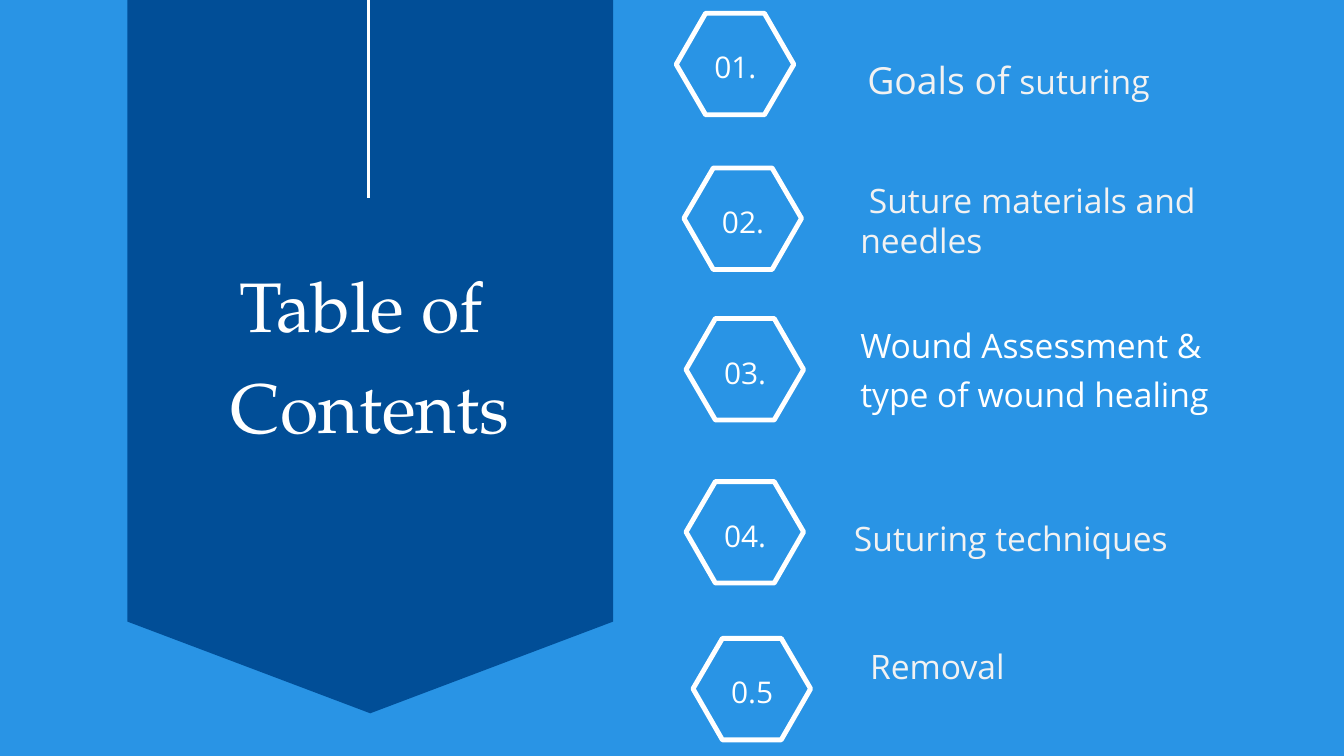
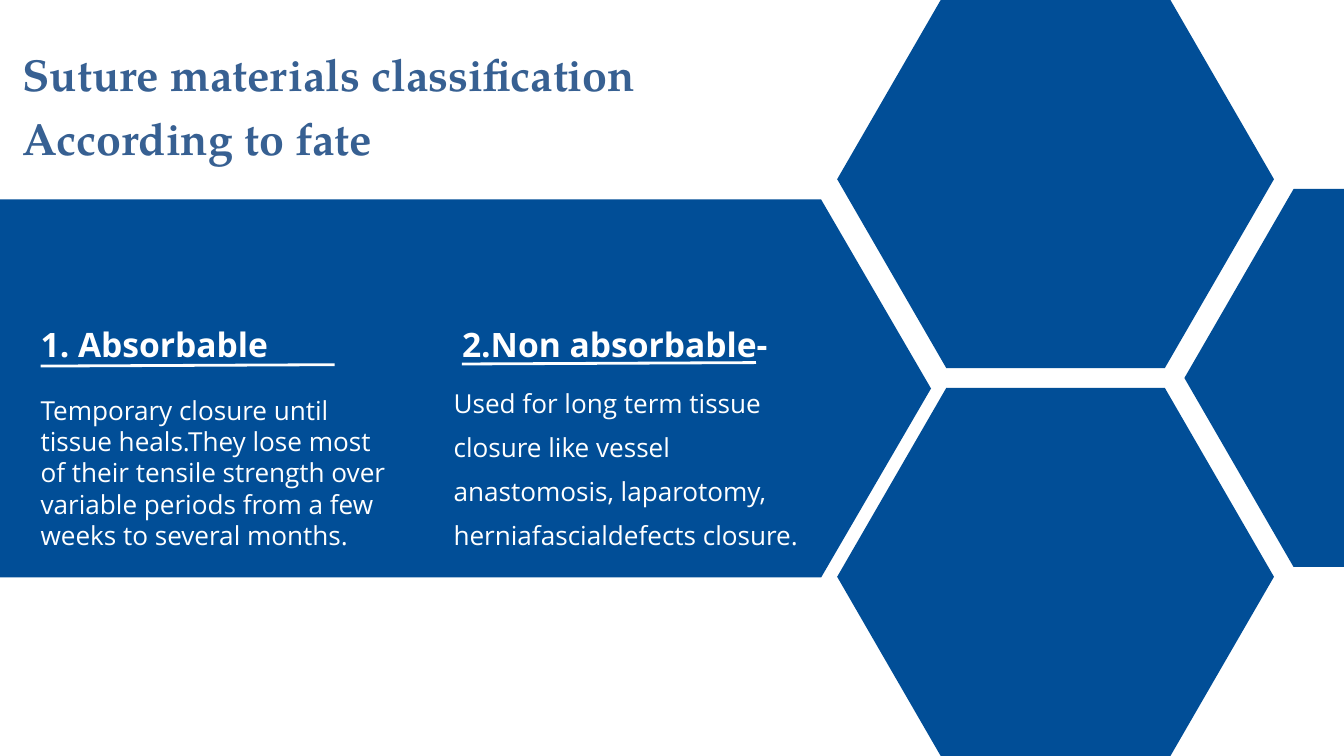
"""Build a contents slide and a suture classification slide."""
from lxml import etree
from pptx import Presentation
from pptx.dml.color import RGBColor
from pptx.enum.shapes import MSO_CONNECTOR
from pptx.enum.text import MSO_ANCHOR, PP_ALIGN
from pptx.oxml.ns import qn
from pptx.util import Emu, Pt

PX = 9525
STRAIGHT = MSO_CONNECTOR.STRAIGHT
LEFT, CENTER = PP_ALIGN.LEFT, PP_ALIGN.CENTER
TOP, MIDDLE = MSO_ANCHOR.TOP, MSO_ANCHOR.MIDDLE
BODY_FONT, TITLE_FONT = "Open Sans", "TeX Gyre Pagella"
WHITE, PALE, SKY, NAVY, SLATE = "FFFFFF", "F2F2F2", "2994E5", "014E97", "376092"
color = RGBColor.from_string


def draw_outline(page, points, fill=None):
    """Draw a closed outline, filled, or stroked in white when no fill is given."""
    builder = page.shapes.build_freeform(*points[0], scale=PX)
    builder.add_line_segments(points[1:], close=True)
    shape = builder.convert_to_shape()
    shape.shadow.inherit = False
    if fill:
        shape.fill.solid()
        shape.fill.fore_color.rgb = color(fill)
        shape.line.fill.background()
    else:
        shape.fill.background()
        shape.line.color.rgb = color(WHITE)
        shape.line.width = Pt(5.25)


def write(page, frame, lines, size, ink=WHITE, font=BODY_FONT, bold=False,
          spacing=1.0, align=LEFT, anchor=TOP, inset=0):
    """Add a text box with one paragraph per line and return the last paragraph."""
    box = page.shapes.add_textbox(*(Emu(length * PX) for length in frame))
    text = box.text_frame
    text.word_wrap = True
    text.vertical_anchor = anchor
    text.margin_left = text.margin_right = Emu(inset * PX)
    text.margin_top = text.margin_bottom = Emu(inset * PX)
    for index, line in enumerate(lines):
        para = text.add_paragraph() if index else text.paragraphs[0]
        para.text = line
        para.alignment = align
        para.line_spacing = spacing
        para.font.name = font
        para.font.size = Pt(size)
        para.font.bold = bold
        para.font.color.rgb = color(ink)
    return para


deck = Presentation()
deck.slide_width, deck.slide_height = Emu(1920 * PX), Emu(1080 * PX)
contents, classification = pages = [
    deck.slides.add_slide(deck.slide_layouts[6]) for _ in range(2)]
for page, backdrop in zip(pages, (SKY, WHITE)):
    page.background.fill.solid()
    page.background.fill.fore_color.rgb = color(backdrop)

badges = [(966, 19, "01."), (977, 240, "02."), (980, 455, "03."),
          (980, 688, "04."), (990, 912, "0.5")]
hexagons = [(contents, left, top, 168, 145, 42, None) for left, top, _ in badges]
hexagons += [(classification, left, top, width, 540, 156, NAVY)
             for left, top, width in ((1196, -14, 624), (1196, 554, 624), (1692, 270, 636))]
for page, left, top, width, height, corner, fill in hexagons:
    right, bottom, middle = left + width, top + height, top + height / 2
    draw_outline(page, [(right, middle), (right - corner, bottom), (left + corner, bottom),
                        (left, middle), (left + corner, top), (right - corner, top)], fill)

for left, top, number in badges:
    write(contents, (left + 24, top - 2, 121, 147), [number], 32,
          spacing=1.2, align=CENTER, anchor=MIDDLE, inset=6)

draw_outline(contents, [(876, 0), (876, 888), (529, 1019), (182, 888), (182, 0)], NAVY)
write(contents, (197, 351, 663, 241), ["Table of ", "Contents"], 75,
      font=TITLE_FONT, spacing=1.2, align=CENTER)

goals = write(contents, (1239, 56, 503, 90), ["Goals of "], 40, PALE, spacing=1.4)
span = goals.add_run()
span.text = "suturing"
span.font.size = Pt(36)
topics = [
    ((1229, 257, 533, 175), " Suture materials and needles", PALE, 1.0),
    ((1229, 453, 587, 139), "Wound Assessment & type of wound healing", WHITE, 1.2),
    ((1220, 740, 503, 59), "Suturing techniques", PALE, 1.0),
    ((1243, 923, 498, 59), "Removal", PALE, 1.0),
]
for frame, topic, ink, spacing in topics:
    write(contents, frame, [topic], 36, ink, spacing=spacing)

draw_outline(classification, [(-51, 285), (1173, 285), (1330, 555), (1173, 825), (-51, 825)], NAVY)
write(classification, (32, 51, 1133, 186),
      ["Suture materials classification\vAccording to fate"], 48, SLATE,
      TITLE_FONT, bold=True, spacing=1.2)
materials = [
    (58, "1. Absorbable", (58, 563, 505, 227), 1.0,
     "Temporary closure until tissue heals.They lose most of their tensile strength "
     "over variable periods from a few weeks to several months."),
    (660, "2.Non absorbable-", (648, 536, 505, 317), 1.4,
     "Used for long term tissue closure like vessel anastomosis, laparotomy, "
     "herniafascialdefects closure."),
]
for left, heading, frame, spacing, description in materials:
    write(classification, (left, 451, 505, 70), [heading], 36, bold=True, spacing=1.2)
    write(classification, frame, [description], 28, spacing=spacing)

rules = [(contents, 527, -139, 527, 283),
         (classification, 58, 523, 478, 521),
         (classification, 660, 520, 1080, 518)]
for page, *ends in rules:
    rule = page.shapes.add_connector(STRAIGHT, *(Emu(end * PX) for end in ends))
    rule.line.color.rgb = color(WHITE)
    rule.line.width = Pt(3)
    etree.SubElement(rule._element.spPr, qn("a:effectLst"))

deck.save("out.pptx")
